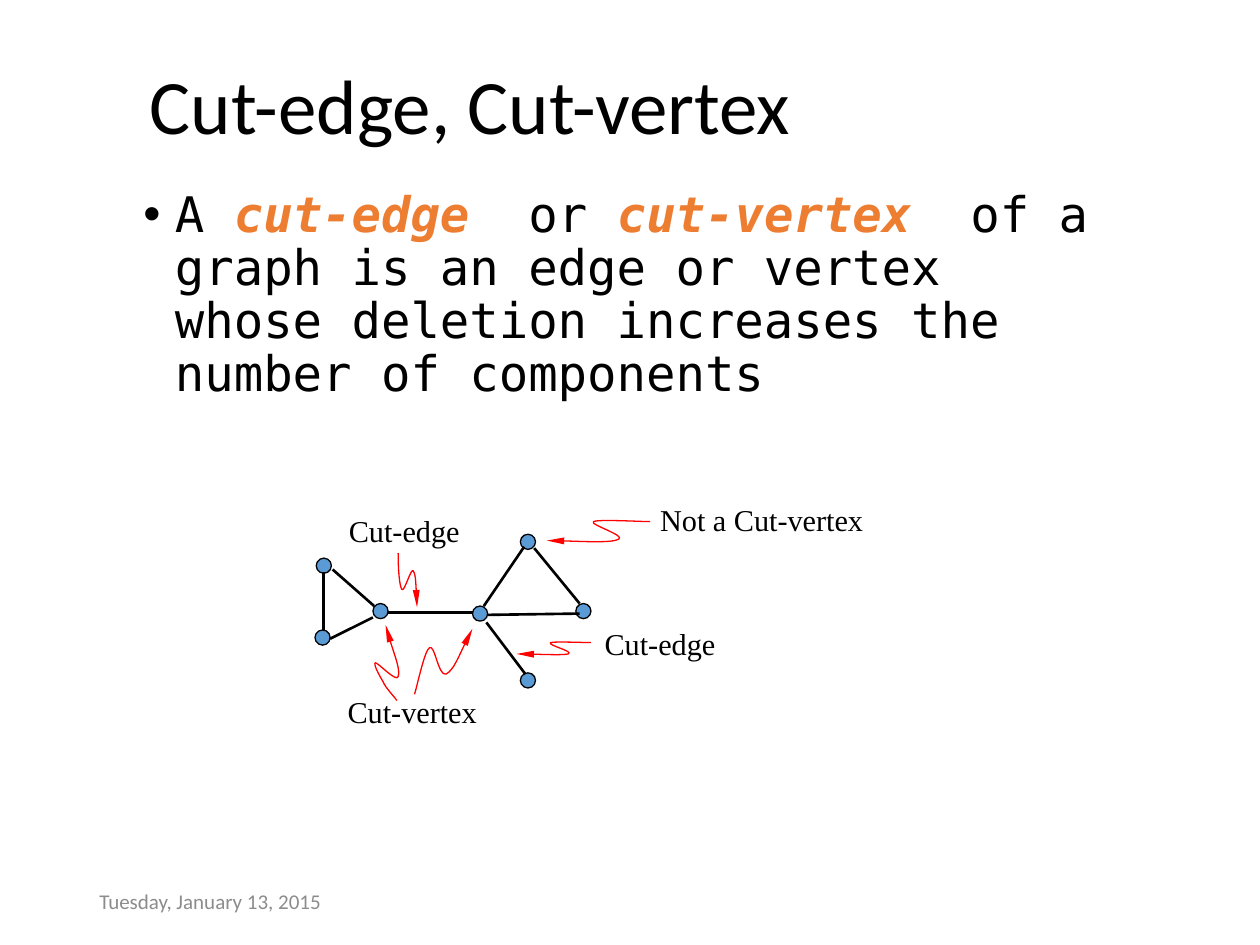
import pptx
import pptx.dml.color
import pptx.enum.shapes
import pptx.enum.text
import pptx.oxml.ns
import pptx.util
from lxml import etree
from pptx.util import Inches

BLACK = pptx.dml.color.RGBColor(0x00, 0x00, 0x00)
ORANGE = pptx.dml.color.RGBColor(0xED, 0x7D, 0x31)
BLUE = pptx.dml.color.RGBColor(0x5B, 0x9B, 0xD5)
RED = pptx.dml.color.RGBColor(0xFF, 0x00, 0x00)
GREY = pptx.dml.color.RGBColor(0x8C, 0x8C, 0x8C)

TITLE = "Cut-edge, Cut-vertex"
DEFINITION = [
    ("A ", False),
    ("cut-edge", True),
    ("  or ", False),
    ("cut-vertex  ", True),
    ("of a graph is an edge or vertex whose deletion increases the "
     "number of components", False),
]
DATE = "Tuesday, January 13, 2015"

# Diagram geometry, in inches from the diagram's top left corner
VERTEX_SIZE = 0.12
VERTICES = [(0.07, 0.59), (0.06, 1.16), (0.52, 0.95), (1.31, 0.97),
            (1.69, 0.40), (2.13, 0.95), (1.69, 1.50)]
EDGES = [
    ((0.07, 0.64), (0.07, 1.10)),
    ((0.14, 0.62), (0.47, 0.91)),
    ((0.12, 1.17), (0.46, 1.00)),
    ((0.58, 0.96), (1.25, 0.96)),
    ((1.66, 0.44), (1.34, 0.91)),
    ((1.36, 1.04), (1.67, 1.45)),
    ((1.74, 0.45), (2.10, 0.89)),
    ((1.37, 0.98), (2.10, 0.97)),
]
LABELS = [
    ("Not a Cut-vertex", 2.64, 0.03, 1.89),
    ("Cut-edge", 0.17, 0.12, 1.45),
    ("Cut-edge", 2.20, 1.01, 1.45),
    ("Cut-vertex", 0.16, 1.55, 1.45),
]
# Each pointer is a start point, then three Bezier points per segment
POINTERS = [
    [(0.66, 0.49), (0.66, 0.62), (0.67, 0.75), (0.69, 0.78),
     (0.71, 0.80), (0.76, 0.61), (0.78, 0.63),
     (0.80, 0.66), (0.81, 0.87), (0.81, 0.92)],
    [(2.19, 1.20), (2.14, 1.20), (1.90, 1.19), (1.87, 1.20),
     (1.84, 1.22), (2.06, 1.27), (2.01, 1.29),
     (1.97, 1.30), (1.68, 1.29), (1.60, 1.29)],
    [(0.65, 1.66), (0.63, 1.63), (0.56, 1.56), (0.54, 1.51),
     (0.51, 1.46), (0.46, 1.37), (0.48, 1.36),
     (0.50, 1.36), (0.65, 1.52), (0.66, 1.47),
     (0.68, 1.42), (0.58, 1.15), (0.56, 1.06)],
    [(0.79, 1.61), (0.81, 1.55), (0.87, 1.26), (0.91, 1.24),
     (0.95, 1.21), (0.98, 1.47), (1.04, 1.45),
     (1.10, 1.42), (1.21, 1.16), (1.25, 1.09)],
    [(2.66, 0.24), (2.58, 0.24), (2.25, 0.22), (2.21, 0.24),
     (2.17, 0.26), (2.47, 0.35), (2.41, 0.38),
     (2.35, 0.41), (1.96, 0.39), (1.84, 0.39)],
]


def set_font(paragraph, name, size, color):
    paragraph.font.name = name
    paragraph.font.size = pptx.util.Pt(size)
    paragraph.font.color.rgb = color


def add_text_box(slide, left, top, width, height):
    """Add a wrapping text box and return its text frame."""
    frame = slide.shapes.add_textbox(left, top, width, height).text_frame
    frame.word_wrap = True
    return frame


def add_title(slide, left, top, width, height):
    title = slide.shapes.title
    title.left, title.top, title.width, title.height = left, top, width, height
    title.text_frame.text = TITLE
    title.text_frame.vertical_anchor = pptx.enum.text.MSO_ANCHOR.MIDDLE
    paragraph = title.text_frame.paragraphs[0]
    paragraph.alignment = pptx.enum.text.PP_ALIGN.LEFT
    paragraph.line_spacing = 0.9
    set_font(paragraph, "Calibri", 44, BLACK)


def add_bullet(paragraph, indent):
    properties = paragraph._p.get_or_add_pPr()
    properties.set("marL", str(indent))
    properties.set("indent", str(-indent))
    font = etree.SubElement(properties, pptx.oxml.ns.qn("a:buFont"))
    font.set("typeface", "Arial")
    bullet = etree.SubElement(properties, pptx.oxml.ns.qn("a:buChar"))
    bullet.set("char", "•")


def add_definition(slide, left, top, width, height):
    frame = add_text_box(slide, left, top, width, height)
    paragraph = frame.paragraphs[0]
    paragraph.line_spacing = 0.9
    add_bullet(paragraph, Inches(0.25))
    set_font(paragraph, "DejaVu Sans Mono", 28, BLACK)
    for text, is_term in DEFINITION:
        run = paragraph.add_run()
        run.text = text
        run.font.name = "DejaVu Sans Mono"
        run.font.size = pptx.util.Pt(28)
        run.font.bold = run.font.italic = is_term
        run.font.color.rgb = ORANGE if is_term else BLACK


def bend_segments(freeform):
    """Turn each three line segments into one cubic Bezier segment."""
    lines = list(freeform._element.iter(pptx.oxml.ns.qn("a:lnTo")))
    for start in range(0, len(lines), 3):
        curve = etree.Element(pptx.oxml.ns.qn("a:cubicBezTo"))
        lines[start].addprevious(curve)
        for line in lines[start:start + 3]:
            curve.append(line[0])
            line.getparent().remove(line)


def add_pointer(slide, left, top, controls):
    points = [(left + Inches(x), top + Inches(y)) for x, y in controls]
    builder = slide.shapes.build_freeform(*points[0])
    builder.add_line_segments(points[1:], close=False)
    pointer = builder.convert_to_shape()
    bend_segments(pointer)
    pointer.shadow.inherit = False
    pointer.fill.background()
    pointer.line.color.rgb = RED
    pointer.line.width = pptx.util.Pt(0.75)
    arrowhead = etree.SubElement(pointer.line._get_or_add_ln(),
                                 pptx.oxml.ns.qn("a:tailEnd"))
    arrowhead.set("type", "triangle")
    arrowhead.set("w", "sm")
    arrowhead.set("len", "lg")


def add_vertex(slide, center_x, center_y):
    size = Inches(VERTEX_SIZE)
    vertex = slide.shapes.add_shape(
        pptx.enum.shapes.MSO_SHAPE.OVAL,
        center_x - size // 2, center_y - size // 2, size, size)
    vertex.shadow.inherit = False
    vertex.fill.solid()
    vertex.fill.fore_color.rgb = BLUE
    vertex.line.color.rgb = BLACK
    vertex.line.width = pptx.util.Pt(0.75)


def add_edge(slide, *ends):
    edge = slide.shapes.add_connector(
        pptx.enum.shapes.MSO_CONNECTOR.STRAIGHT, *ends)
    edge.line.color.rgb = BLACK
    edge.line.width = pptx.util.Pt(1.5)
    etree.SubElement(edge._element.spPr, pptx.oxml.ns.qn("a:effectLst"))


def add_graph(slide, left, top):
    for x, y in VERTICES:
        add_vertex(slide, left + Inches(x), top + Inches(y))
    for (x1, y1), (x2, y2) in EDGES:
        add_edge(slide, left + Inches(x1), top + Inches(y1),
                 left + Inches(x2), top + Inches(y2))
    for text, x, y, width in LABELS:
        frame = add_text_box(slide, left + Inches(x), top + Inches(y),
                             Inches(width), Inches(0.39))
        frame.text = text
        set_font(frame.paragraphs[0], "Times New Roman", 17.3, BLACK)
    for controls in POINTERS:
        add_pointer(slide, left, top, controls)


def add_date(slide, left, top, width, height):
    frame = add_text_box(slide, left, top, width, height)
    frame.text = DATE
    frame.vertical_anchor = pptx.enum.text.MSO_ANCHOR.MIDDLE
    set_font(frame.paragraphs[0], "Calibri", 12, GREY)


def main():
    presentation = pptx.Presentation()
    presentation.slide_width = Inches(10)
    presentation.slide_height = Inches(7.5)
    slide = presentation.slides.add_slide(presentation.slide_layouts[5])
    add_title(slide, Inches(1.09), Inches(0.33), Inches(7.82), Inches(1.08))
    add_definition(slide, Inches(1.04), Inches(1.46), Inches(7.82), Inches(2.1))
    add_graph(slide, Inches(2.5), Inches(3.9))
    add_date(slide, Inches(0.69), Inches(6.95), Inches(2.25), Inches(0.4))
    presentation.save("out.pptx")


if __name__ == "__main__":
    main()
